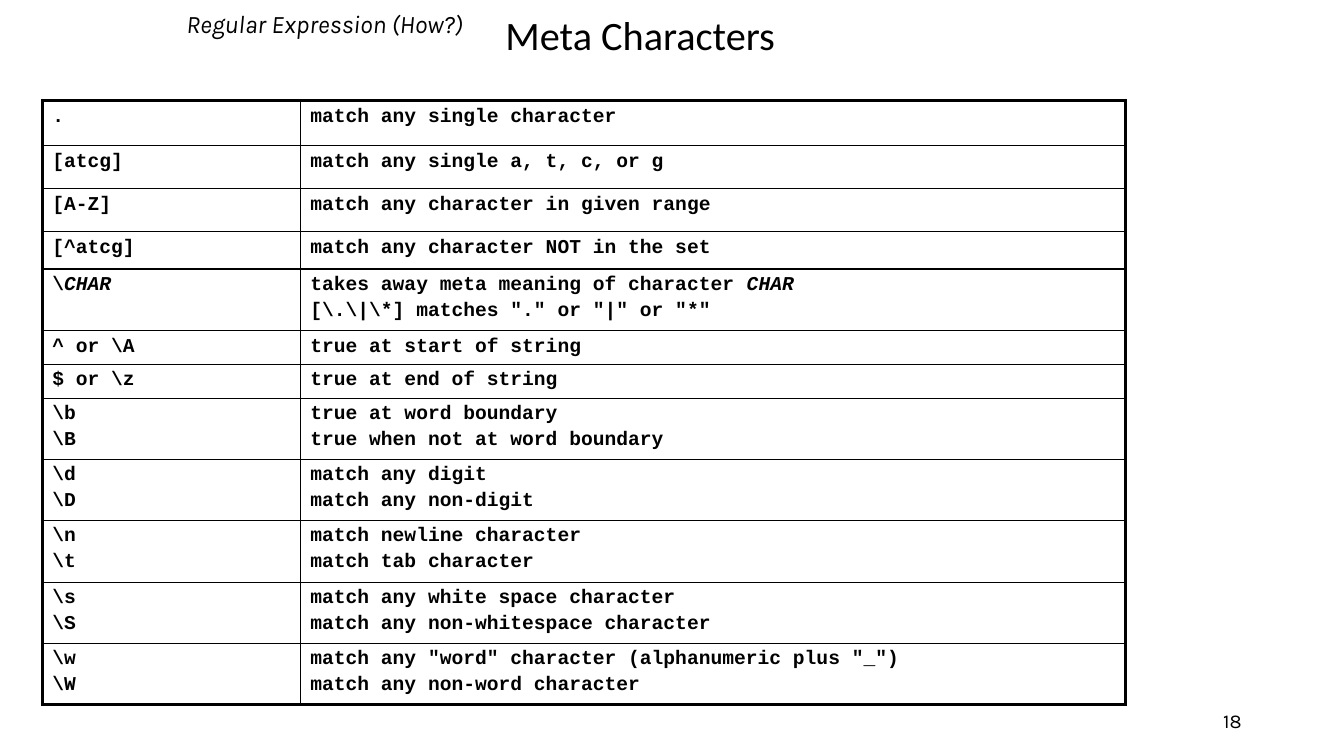
from pptx import Presentation
from pptx.dml.color import RGBColor
from pptx.enum.text import MSO_ANCHOR, PP_ALIGN
from pptx.oxml import parse_xml
from pptx.oxml.ns import nsdecls
from pptx.util import Pt

BLACK = "000000"


def style(r, font, size, bold=False, italic=False):
    r.font.name, r.font.size = font, Pt(size)
    r.font.bold, r.font.italic = bold, italic
    r.font.color.rgb = RGBColor.from_string(BLACK)


def add_label(text, box, font, size, anchor=MSO_ANCHOR.TOP, align=PP_ALIGN.LEFT,
              italic=False, wrap=True):
    tf = s.shapes.add_textbox(*[Pt(v) for v in box]).text_frame
    tf.word_wrap, tf.vertical_anchor = wrap, anchor
    tf.text = text
    p = tf.paragraphs[0]
    p.alignment = align
    style(p.runs[0], font, size, italic=italic)
    return p


prs = Presentation()
prs.slide_width, prs.slide_height = Pt(960), Pt(540)
s = prs.slides.add_slide(prs.slide_layouts[6])

# Title
p = add_label("Meta Characters", (354, 0, 258, 54), "Calibri", 28.8, MSO_ANCHOR.MIDDLE)
p.line_spacing = 0.9

# Table rows: height, pattern, meaning; a newline starts a paragraph
rows = [
    (32.2, ".", "match any single character"),
    (30.7, "[atcg]", "match any single a, t, c, or g"),
    (30.7, "[A-Z]", "match any character in given range"),
    (26.6, "[^atcg]", "match any character NOT in the set"),
    (44.2, r"\CHAR", "takes away meta meaning of character CHAR\n"
                     r'[\.\|\*] matches "." or "|" or "*"'),
    (22.6, r"^ or \A", "true at start of string"),
    (22.6, r"$ or \z", "true at end of string"),
    (41.7, "\\b\n\\B", "true at word boundary\ntrue when not at word boundary"),
    (41.7, "\\d\n\\D", "match any digit\nmatch any non-digit"),
    (44.2, "\\n\n\\t", "match newline character\nmatch tab character"),
    (41.7, "\\s\n\\S", "match any white space character\nmatch any non-whitespace character"),
    (41.7, "\\w\n\\W", 'match any "word" character (alphanumeric plus "_")\n'
                       "match any non-word character"),
]
height = sum(row[0] for row in rows)
table = s.shapes.add_table(len(rows), 2, Pt(30.2), Pt(72), Pt(774), Pt(height)).table
table.first_row = table.horz_banding = False
for column, width in zip(table.columns, (184.3, 589.7)):
    column.width = Pt(width)

for i, (row_height, *texts) in enumerate(rows):
    table.rows[i].height = Pt(row_height)
    for j, text in enumerate(texts):
        cell = table.cell(i, j)
        # Thick outer frame, thin inner lines
        outer = {"L": j == 0, "R": j == 1, "T": i == 0, "B": i == len(rows) - 1}
        tcPr = cell._tc.get_or_add_tcPr()
        for side, thick in outer.items():
            tcPr.append(parse_xml(
                f'<a:ln{side} {nsdecls("a")} w="{Pt(2.25 if thick else 1)}">'
                f'<a:solidFill><a:srgbClr val="{BLACK}"/></a:solidFill></a:ln{side}>'))
        cell.fill.background()
        # Bold code text, with the placeholder CHAR in italics
        cell.text_frame.text = text
        for p in cell.text_frame.paragraphs:
            p.space_before = Pt(2.8)
            if p.text.endswith("CHAR"):
                p.runs[0].text = p.text.removesuffix("CHAR")
                p.add_run().text = "CHAR"
            for r in p.runs:
                style(r, "Courier New", 14, bold=True, italic=r.text == "CHAR")

# Section name and slide number
add_label("Regular Expression (How?)", (126, 2.2, 229, 29), "Karla", 18,
          italic=True, wrap=False)
add_label("18", (678, 500.4, 216, 29), "Karla", 14, MSO_ANCHOR.MIDDLE, PP_ALIGN.RIGHT)

prs.save("out.pptx")
